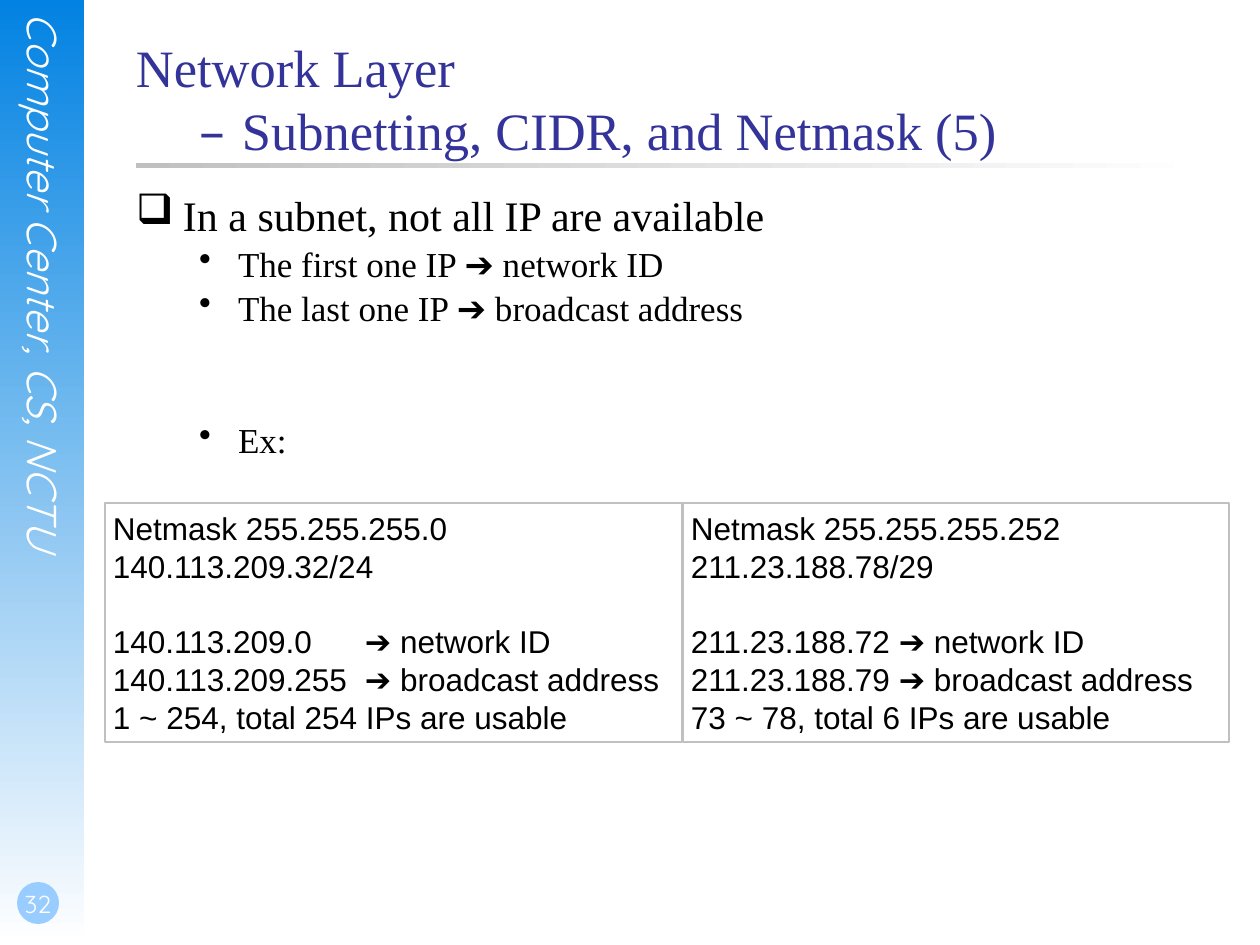
import pptx
import pptx.util
import pptx.dml.color
import pptx.enum.shapes
import pptx.enum.text
import pptx.oxml
import pptx.oxml.ns

COLORS = {
    "sidebar": "0282E2", "white": "FFFFFF", "badge": "99CCFF",
    "rule": "C0C0C0", "title": "333399", "text": "000000",
}
SERIF, SANS, DASH, SIDE = "Times New Roman", "Arial", "DejaVu Sans", "Quicksand"
SHAPE = pptx.enum.shapes.MSO_SHAPE
ANCHOR = pptx.enum.text.MSO_ANCHOR
ALIGN = pptx.enum.text.PP_ALIGN
AUTO_SIZE = pptx.enum.text.MSO_AUTO_SIZE


def px(length):
    return pptx.util.Emu(round(length * 914400 / 126))


def rgb(name):
    return pptx.dml.color.RGBColor.from_string(COLORS[name])


class SlideBuilder:
    def __init__(self, slide):
        self.slide = slide

    def shape(self, kind, box, fill=None, gradient_angle=None, line=None):
        shape = self.slide.shapes.add_shape(kind, *map(px, box))
        shape.shadow.inherit = False
        if fill is None:
            shape.fill.background()
        elif gradient_angle is None:
            shape.fill.solid()
            shape.fill.fore_color.rgb = rgb(fill)
        else:
            shape.fill.gradient()
            shape.fill.gradient_angle = gradient_angle
            for stop, color in zip(shape.fill.gradient_stops, (fill, "white")):
                stop.color.rgb = rgb(color)
        if line:
            shape.line.color.rgb = rgb(line)
            shape.line.width = pptx.util.Pt(1.5)
        else:
            shape.line.fill.background()
        return shape

    def text_box(self, box):
        return self.frame(self.slide.shapes.add_textbox(*map(px, box)))

    def frame(self, shape, insets=(0, 0, 0, 0), anchor=ANCHOR.TOP):
        frame = shape.text_frame
        frame.word_wrap = True
        frame.vertical_anchor = anchor
        (frame.margin_left, frame.margin_top,
         frame.margin_right, frame.margin_bottom) = map(px, insets)
        return frame

    def paragraph(self, frame, pieces, size, color="text", align=ALIGN.LEFT, before=0):
        """Each piece is a (text, font) pair."""
        first = frame.paragraphs[0]
        paragraph = frame.add_paragraph() if first.runs else first
        paragraph.alignment = align
        if before:
            paragraph.space_before = pptx.util.Pt(before)
        paragraph.text = pieces[0][0]
        fonts = [pieces[0][1]] * len(paragraph.runs)
        for text, font in pieces[1:]:
            paragraph.add_run().text = text
            fonts.append(font)
        for run, font in zip(paragraph.runs, fonts):
            run.font.name = font
            run.font.size = pptx.util.Pt(size)
            run.font.color.rgb = rgb(color)
        return paragraph

    def bullet(self, frame, pieces, size, mark, left, hanging, before):
        paragraph = self.paragraph(frame, pieces, size, before=before)
        paragraph.line_spacing = 0.8
        properties = paragraph._p.get_or_add_pPr()
        properties.set("marL", str(px(left)))
        properties.set("indent", str(-px(hanging)))
        namespace = pptx.oxml.ns.nsdecls("a")
        for xml in (
            f'<a:buClr {namespace}><a:srgbClr val="{COLORS["text"]}"/></a:buClr>',
            f'<a:buChar {namespace} char="{mark}"/>',
        ):
            properties.append(pptx.oxml.parse_xml(xml))


def main():
    deck = pptx.Presentation()
    deck.slide_width, deck.slide_height = px(1260), px(945)
    builder = SlideBuilder(deck.slides.add_slide(deck.slide_layouts[6]))

    # Sidebar with department name and page number
    builder.shape(SHAPE.RECTANGLE, (0, 0, 84, 945), "sidebar", gradient_angle=270)
    department = builder.text_box((19, 13, 50, 644))
    department._txBody.bodyPr.set("vert", "eaVert")
    name = builder.paragraph(department, [("Computer Center, CS, NCTU", SIDE)], 24, "white",
                             align=ALIGN.CENTER)
    name.runs[0].font.italic = True
    builder.shape(SHAPE.OVAL, (17, 882, 42, 42), "badge")
    page_number = builder.text_box((0, 861, 73, 63))
    page_number.vertical_anchor = ANCHOR.BOTTOM
    page_number.margin_left, page_number.margin_bottom = px(3), px(6)
    builder.paragraph(page_number, [("32", SIDE)], 14, "white", ALIGN.CENTER)

    # Title and rule
    builder.shape(SHAPE.RECTANGLE, (136, 163, 1071, 5), "rule", gradient_angle=0)
    title = builder.text_box((136, 35, 1071, 158))
    builder.paragraph(title, [("Network Layer\v\t", SERIF), ("– ", DASH),
                              ("Subnetting, CIDR, and Netmask (5)", SERIF)], 30, "title")

    # Bullet list
    body = builder.text_box((136, 199, 977, 662))
    builder.bullet(body, [("In a subnet, not all IP are available", SERIF)],
                   24, "❑", left=47, hanging=47, before=0)
    for position, role, before in (("first", "network ID", 6.2),
                                   ("last", "broadcast address", 6.2),
                                   ("", "", 56)):
        pieces = [("Ex:", SERIF)]
        if position:
            pieces = [(f"The {position} one IP ", SERIF), ("➔", SANS), (f" {role}", SERIF)]
        builder.bullet(body, pieces, 20, "•", left=102, hanging=39, before=before)

    # Netmask examples side by side
    examples = (
        (105, 577, ("Netmask 255.255.255.0", "140.113.209.32/24",
                    "140.113.209.0\t➔ network ID",
                    "140.113.209.255\t➔ broadcast address",
                    "1 ~ 254, total 254 IPs are usable")),
        (683, 546, ("Netmask 255.255.255.252", "211.23.188.78/29",
                    "211.23.188.72 ➔ network ID",
                    "211.23.188.79 ➔ broadcast address",
                    "73 ~ 78, total 6 IPs are usable")),
    )
    for left, width, lines in examples:
        panel = builder.shape(SHAPE.RECTANGLE, (left, 503, width, 239), line="rule")
        example = builder.frame(panel, insets=(8, 6, 3, 6))
        example.auto_size = AUTO_SIZE.NONE
        for row, line in enumerate(lines):
            builder.paragraph(example, [(line, SANS)], 18, before=21.5 if row == 2 else 0)

    deck.save("out.pptx")


if __name__ == "__main__":
    main()
